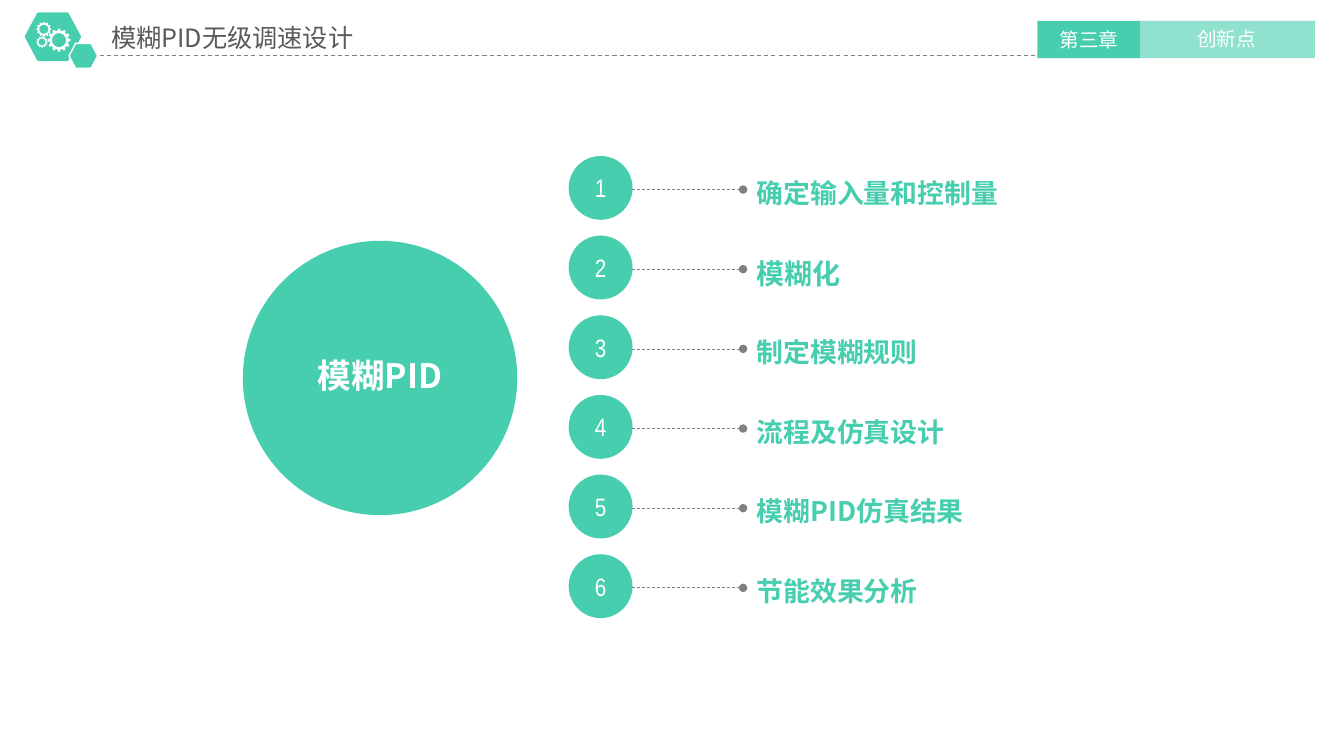
import math

import lxml.etree
import pptx
import pptx.dml.color
import pptx.enum.dml
import pptx.enum.shapes
import pptx.enum.text
import pptx.oxml.ns
import pptx.util

Pt = pptx.util.Pt
qn = pptx.oxml.ns.qn
ALIGN = pptx.enum.text.PP_ALIGN
SHAPE = pptx.enum.shapes.MSO_SHAPE

COLORS = {"green": "46CEAE", "white": "FFFFFF", "title": "595959", "line": "808080"}
CJK_FONT = "Noto Sans CJK SC"
NUMBER_FONT = "Arial Narrow"
STEPS = [
    ("确定输入量和控制量", 19.2),
    ("模糊化", 20),
    ("制定模糊规则", 19.2),
    ("流程及仿真设计", 19.2),
    ("模糊PID仿真结果", 19.2),
    ("节能效果分析", 19.2),
]


def rgb(name):
    return pptx.dml.color.RGBColor.from_string(COLORS[name])


def paint(shape, color, line=None, line_width=0, alpha=None):
    """Give a shape a flat fill, and an outline only if one is named."""
    shape.shadow.inherit = False
    shape.fill.solid()
    shape.fill.fore_color.rgb = rgb(color)
    if alpha is not None:
        color_element = shape.fill._xPr.find(qn("a:solidFill"))[0]
        lxml.etree.SubElement(color_element, qn("a:alpha")).set("val", str(alpha * 1000))
    if line:
        shape.line.color.rgb = rgb(line)
        shape.line.width = Pt(line_width)
    else:
        shape.line.fill.background()


def add_filled_shape(shapes, kind, left, top, width, height, alpha=None):
    shape = shapes.add_shape(kind, Pt(left), Pt(top), Pt(width), Pt(height))
    paint(shape, "green", alpha=alpha)


def add_text(shapes, box, text, size, color, align=ALIGN.LEFT, bold=False, inset=3.0,
             font=CJK_FONT, middle=False, grow=True, spacing=None):
    text_box = shapes.add_textbox(*(Pt(length) for length in box))
    frame = text_box.text_frame
    frame.word_wrap = True
    if grow:
        frame.auto_size = pptx.enum.text.MSO_AUTO_SIZE.SHAPE_TO_FIT_TEXT
    if middle:
        frame.vertical_anchor = pptx.enum.text.MSO_ANCHOR.MIDDLE
    frame.margin_left = frame.margin_right = Pt(inset)
    frame.margin_top = frame.margin_bottom = Pt(inset)
    paragraph = frame.paragraphs[0]
    paragraph.alignment = align
    if spacing:
        paragraph.line_spacing = spacing
    run = paragraph.add_run()
    run.text = text
    run.font.size = Pt(size)
    run.font.bold = bold
    run.font.color.rgb = rgb(color)
    run.font.name = font
    east_asian = lxml.etree.SubElement(run._r.get_or_add_rPr(), qn("a:ea"))
    east_asian.set("typeface", font)


def add_dashed_line(shapes, left, right, y, width, dot=False):
    line = shapes.add_connector(pptx.enum.shapes.MSO_CONNECTOR.STRAIGHT,
                                Pt(left), Pt(y), Pt(right), Pt(y))
    line.line.color.rgb = rgb("line")
    line.line.width = Pt(width)
    line.line.dash_style = pptx.enum.dml.MSO_LINE.DASH
    if dot:
        lxml.etree.SubElement(line.line._get_or_add_ln(), qn("a:tailEnd")).set("type", "oval")
    lxml.etree.SubElement(line._element.spPr, qn("a:effectLst"))


def add_outline(shapes, contours):
    """Draw closed contours, given in points, as one shape."""
    builder = None
    for contour in contours:
        points = [(Pt(x), Pt(y)) for x, y in contour]
        if builder is None:
            builder = shapes.build_freeform(*points[0], scale=1.0)
        else:
            builder.move_to(*points[0])
        builder.add_line_segments(points[1:], close=True)
    return builder.convert_to_shape()


def add_hexagon(shapes, left, top, width, height, line, line_width):
    slant = width * 0.23
    right, middle, bottom = left + width, top + height / 2, top + height
    points = [(left, middle), (left + slant, top), (right - slant, top),
              (right, middle), (right - slant, bottom), (left + slant, bottom)]
    paint(add_outline(shapes, [points]), "green", line, line_width)


def add_gear(shapes, center_x, center_y, radius, teeth=12):
    def ring(radius_at, count):
        return [(center_x + radius_at(i) * math.cos(math.tau * i / count),
                 center_y + radius_at(i) * math.sin(math.tau * i / count))
                for i in range(count)]

    tooth = (1, 0.97, 0.82, 0.79, 0.82, 0.97)
    rim = ring(lambda i: radius * tooth[i % len(tooth)], teeth * len(tooth))
    hole = ring(lambda i: radius * 0.6, 48)
    paint(add_outline(shapes, [rim, hole]), "white")


def add_header(slide, left, top, width):
    shapes = slide.shapes
    tabs_left, tabs_top = left + width - 219, top + 15
    chapter_width, topic_width, tab_height = 73.6, 124.6, 26.6

    add_text(shapes, (left + 76.3, top + 13, 222.5, 27.4), "模糊PID无级调速设计", 18, "title")
    add_dashed_line(shapes, left + 66, tabs_left, top + 39.8, 0.75)
    add_hexagon(shapes, left + 18.7, top + 9.8, 38.2, 32.8, "green", 2)
    add_filled_shape(shapes, SHAPE.RECTANGLE, tabs_left, tabs_top, chapter_width, tab_height)
    add_filled_shape(shapes, SHAPE.RECTANGLE, tabs_left + chapter_width, tabs_top,
                     topic_width, tab_height, alpha=60)
    add_hexagon(shapes, left + 49.3, top + 31, 20.5, 17.8, "white", 1)
    add_text(shapes, (tabs_left + 2.6, tabs_top + 2.2, 68.4, 25), "第三章", 14, "white",
             ALIGN.CENTER)
    add_text(shapes, (tabs_left + 75.4, tabs_top + 1.5, 119.5, 22.5), "创新点", 14, "white",
             ALIGN.CENTER)

    gears = shapes.add_group_shape().shapes
    for x, y, radius in ((42.2, 28.7, 8.3), (31.3, 20.9, 5.4), (30, 30, 4.1)):
        add_gear(gears, left + x, top + y, radius)


def add_topic(slide, left, top, diameter):
    add_filled_shape(slide.shapes, SHAPE.OVAL, left, top, diameter, diameter)
    add_text(slide.shapes, (left + 19.2, top + 81.2, diameter - 38.4, 33), "模糊PID", 24,
             "white", ALIGN.CENTER, bold=True, inset=0)


def add_step(slide, left, top, number, label, size):
    diameter = 45.6
    badge = slide.shapes.add_group_shape().shapes
    add_filled_shape(badge, SHAPE.OVAL, left, top, diameter, diameter)
    add_text(badge, (left + 10.4, top + 8.2, 25, 29.2), str(number), 18, "white",
             ALIGN.CENTER, inset=3.6, font=NUMBER_FONT, middle=True)
    add_dashed_line(slide.shapes, left + diameter, left + 124.6, top + 24, 0.5, dot=True)
    add_text(slide.shapes, (left + 130.6, top + 6.5, 297.4, 56), label, size, "green",
             ALIGN.JUSTIFY, bold=True, inset=3.6, grow=False, spacing=1.2)


def add_steps(slide, left, top, pitch):
    for index, (label, size) in enumerate(STEPS):
        add_step(slide, left, top + index * pitch, index + 1, label, size)


def main():
    presentation = pptx.Presentation()
    presentation.slide_width = Pt(960)
    presentation.slide_height = Pt(540)
    slide = presentation.slides.add_slide(presentation.slide_layouts[6])
    add_header(slide, 0, 0, 960)
    add_topic(slide, 173.5, 172, 196)
    add_steps(slide, 406.2, 111.4, 56.9)
    presentation.save("out.pptx")


if __name__ == "__main__":
    main()
